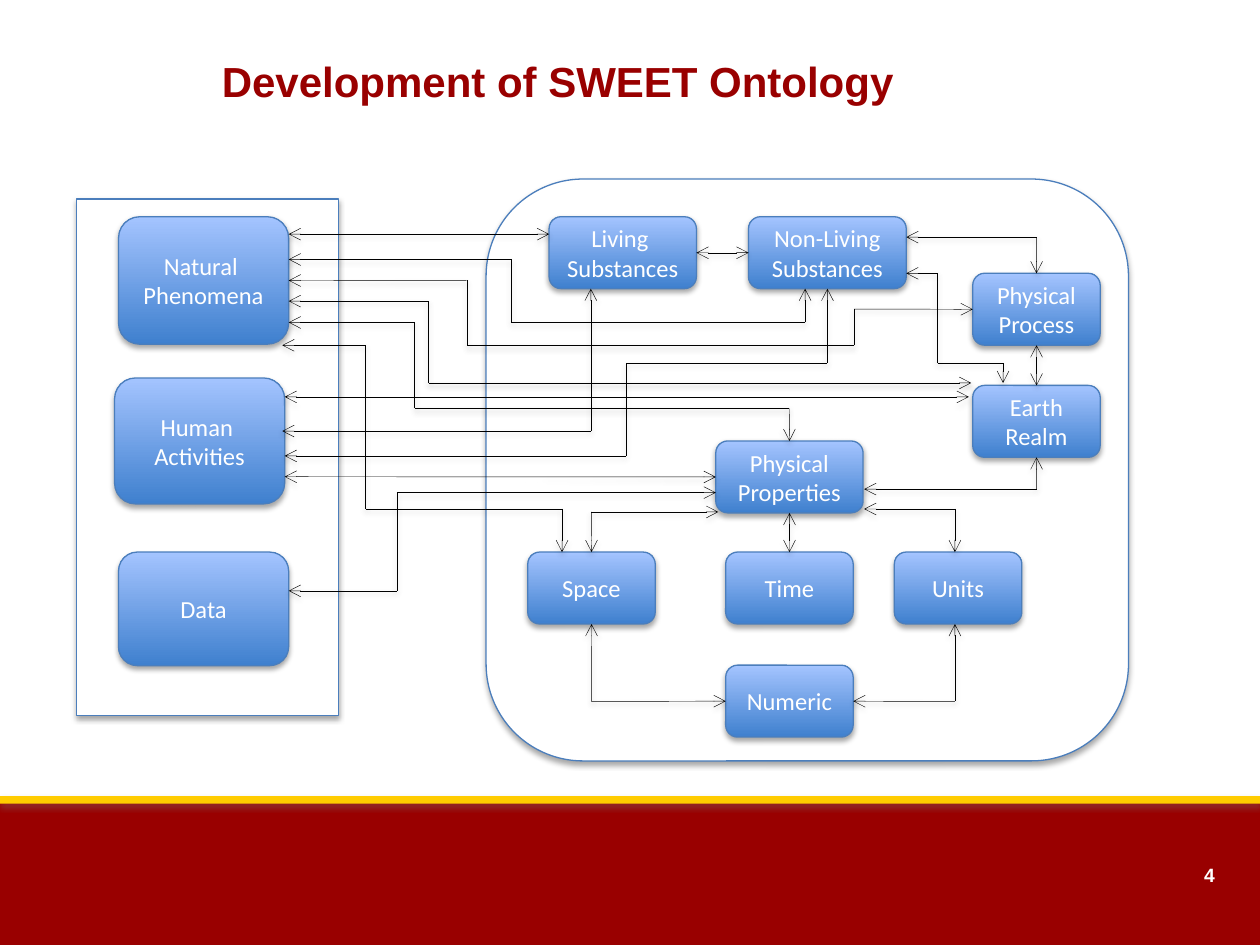
from lxml import etree
from pptx import Presentation
from pptx import util as u
from pptx.dml.color import RGBColor
from pptx.enum import shapes, text
from pptx.oxml import parse_xml
from pptx.oxml.ns import nsdecls, qn

COLORS = {
    "red": "990000", "gold": "FFCC00", "white": "FFFFFF", "black": "000000",
    "gray": "808080", "border": "4B7EBC", "box_low": "3F80CE", "box_high": "A4C4FF",
}
TITLE = {"name": "Arial", "size": u.Pt(24), "bold": True}
NUMBER = {"name": "Arial", "size": u.Pt(11), "bold": True}
LABEL = {"name": "Calibri", "size": u.Pt(14)}
TOP, LEFT, BOTTOM, RIGHT = range(4)

# label: left, top, width, height in cm
BOXES = {
    "Physical\nProperties": (14.43, 8.89, 2.97, 1.45),
    "Space": (10.64, 11.13, 2.57, 1.45),
    "Time": (14.63, 11.13, 2.57, 1.45),
    "Units": (18.03, 11.13, 2.57, 1.45),
    "Numeric": (14.63, 13.41, 2.57, 1.45),
    "Living \nSubstances": (11.07, 4.37, 2.97, 1.45),
    "Non-Living\nSubstances": (15.09, 4.37, 3.18, 1.45),
    "Physical\nProcess": (19.61, 5.51, 2.57, 1.45),
    "Earth\nRealm": (19.61, 7.77, 2.57, 1.45),
    "Human \nActivities": (2.31, 7.62, 3.43, 2.54),
    "Natural \nPhenomena": (2.39, 4.37, 3.43, 2.57),
    "Data": (2.39, 11.13, 3.43, 2.29),
}

# corner points in cm; each route has an arrowhead at both ends
ROUTES = [
    # Natural Phenomena
    [(5.82, 4.72), (11.07, 4.72)],
    [(5.82, 5.23), (10.31, 5.23), (10.31, 6.5), (16.23, 6.5), (16.23, 5.82)],
    [(5.82, 5.65), (9.42, 5.65), (9.42, 6.96), (17.22, 6.96), (17.22, 6.23), (19.61, 6.23)],
    [(5.82, 6.07), (8.64, 6.07), (8.64, 7.72), (19.58, 7.72)],
    [(5.82, 6.5), (8.36, 6.5), (8.36, 8.23), (15.91, 8.23), (15.91, 8.89)],
    [(5.69, 6.96), (7.37, 6.96), (7.37, 10.26), (11.33, 10.26), (11.33, 11.13)],
    # Human Activities
    [(5.74, 8), (19.53, 8)],
    [(5.69, 8.69), (11.91, 8.69), (11.91, 5.82)],
    [(5.74, 9.19), (12.62, 9.19), (12.62, 7.32), (16.68, 7.32), (16.68, 5.82)],
    [(5.74, 9.61), (14.43, 9.61)],
    # Data
    [(5.82, 11.91), (8, 11.91), (8, 9.93), (14.43, 9.93)],
    # Substances, process and realm
    [(14.04, 5.09), (15.09, 5.09)],
    [(18.27, 4.78), (20.9, 4.78), (20.9, 5.51)],
    [(18.27, 5.51), (18.9, 5.51), (18.9, 7.32), (20.22, 7.32), (20.22, 7.72)],
    [(20.9, 6.96), (20.9, 7.77)],
    [(17.42, 9.86), (20.9, 9.86), (20.9, 9.22)],
    # Properties and numeric
    [(14.48, 10.32), (11.92, 10.32), (11.92, 11.13)],
    [(15.91, 10.34), (15.91, 11.13)],
    [(17.42, 10.26), (19.25, 10.26), (19.25, 11.13)],
    [(11.92, 12.58), (11.92, 14.14), (14.63, 14.14)],
    [(19.25, 12.58), (19.25, 14.14), (17.2, 14.14)],
]


def rgb(color):
    return RGBColor.from_string(COLORS[color])


class Diagram:
    """Holds the style and the current slide."""

    def __init__(self, slide):
        self.slide = slide
        self.boxes = []

    def set_words(self, shape, words, style, color, align):
        frame = shape.text_frame
        frame.word_wrap = True
        frame.text = words
        for paragraph in frame.paragraphs:
            paragraph.alignment = align
            for run in paragraph.runs:
                for name, value in style.items():
                    setattr(run.font, name, value)
                run.font.color.rgb = rgb(color)

    def add_shadow(self, shape, color="black", opacity=35):
        properties = shape._element.spPr
        for old in properties.findall(qn("a:effectLst")):
            properties.remove(old)
        properties.append(parse_xml(
            f'<a:effectLst {nsdecls("a")}><a:outerShdw blurRad="39370" dist="22860" '
            f'dir="5400000" rotWithShape="0"><a:srgbClr val="{COLORS[color]}">'
            f'<a:alpha val="{opacity * 1000}"/></a:srgbClr></a:outerShdw></a:effectLst>'))

    def title(self, words, *place):
        shape = self.slide.shapes.title
        for name, value in zip(("left", "top", "width", "height"), place):
            setattr(shape, name, u.Cm(value))
        self.set_words(shape, words, TITLE, "red", text.PP_ALIGN.CENTER)
        shape.text_frame.vertical_anchor = text.MSO_ANCHOR.MIDDLE

    def page_number(self, words, *place):
        shape = self.slide.shapes.add_textbox(*map(u.Cm, place))
        self.set_words(shape, words, NUMBER, "white", text.PP_ALIGN.RIGHT)

    def panel(self, kind, fill, place, border=None, shadow="black"):
        shape = self.slide.shapes.add_shape(kind, *map(u.Cm, place))
        shape.fill.solid()
        shape.fill.fore_color.rgb = rgb(fill)
        if border:
            shape.line.color.rgb = rgb(border)
            shape.line.width = u.Pt(0.75)
        else:
            shape.line.fill.background()
        self.add_shadow(shape, shadow)
        return shape

    def box(self, label, place):
        shape = self.panel(shapes.MSO_SHAPE.ROUNDED_RECTANGLE, "box_low", place, "border")
        shape.fill.gradient()
        shape.fill.gradient_angle = 90
        for stop, (position, color) in zip(shape.fill.gradient_stops,
                                           ((0, "box_low"), (1, "box_high"))):
            stop.position = position
            stop.color.rgb = rgb(color)
        self.set_words(shape, label, LABEL, "white", text.PP_ALIGN.CENTER)
        shape.text_frame.vertical_anchor = text.MSO_ANCHOR.MIDDLE
        self.boxes.append(shape)

    def join(self, connect, point):
        """Attach a connector end that lies at the middle of a box side."""
        x, y = map(u.Cm, point)
        for box in self.boxes:
            center, middle = box.left + box.width // 2, box.top + box.height // 2
            sides = {TOP: (center, box.top), LEFT: (box.left, middle),
                     BOTTOM: (center, box.top + box.height),
                     RIGHT: (box.left + box.width, middle)}
            for side, (side_x, side_y) in sides.items():
                if max(abs(side_x - x), abs(side_y - y)) < u.Cm(0.03):
                    connect(box, side)

    def route(self, points):
        last = len(points) - 2
        for index, (start, end) in enumerate(zip(points, points[1:])):
            line = self.slide.shapes.add_connector(
                shapes.MSO_CONNECTOR.STRAIGHT, *map(u.Cm, start + end))
            line.line.color.rgb = rgb("black")
            line.line.width = u.Pt(0.25)
            outline = line.line._get_or_add_ln()
            if index == 0:
                etree.SubElement(outline, qn("a:headEnd"), type="arrow")
                self.join(line.begin_connect, start)
            if index == last:
                etree.SubElement(outline, qn("a:tailEnd"), type="arrow")
                self.join(line.end_connect, end)
            self.add_shadow(line, opacity=38)


def main():
    presentation = Presentation()
    presentation.slide_width, presentation.slide_height = u.Cm(25.4), u.Cm(19.05)
    diagram = Diagram(presentation.slides.add_slide(presentation.slide_layouts[5]))
    rectangle = shapes.MSO_SHAPE.RECTANGLE

    diagram.panel(rectangle, "red", (0, 16.13, 25.4, 2.92), shadow="gray")
    diagram.panel(rectangle, "gold", (0, 16.05, 25.4, 0.15), shadow="gray")
    diagram.page_number("4", 20.22, 17.27, 4.52, 0.89)
    diagram.title("Development of SWEET Ontology", 0.97, 0.97, 20.55, 1.3)

    diagram.panel(rectangle, "white", (1.55, 4.01, 5.28, 10.41), "border")
    diagram.panel(shapes.MSO_SHAPE.ROUNDED_RECTANGLE, "white",
                  (9.8, 3.61, 12.95, 11.73), "border")
    for label, place in BOXES.items():
        diagram.box(label, place)
    for points in ROUTES:
        diagram.route(points)
    presentation.save("out.pptx")


if __name__ == "__main__":
    main()
